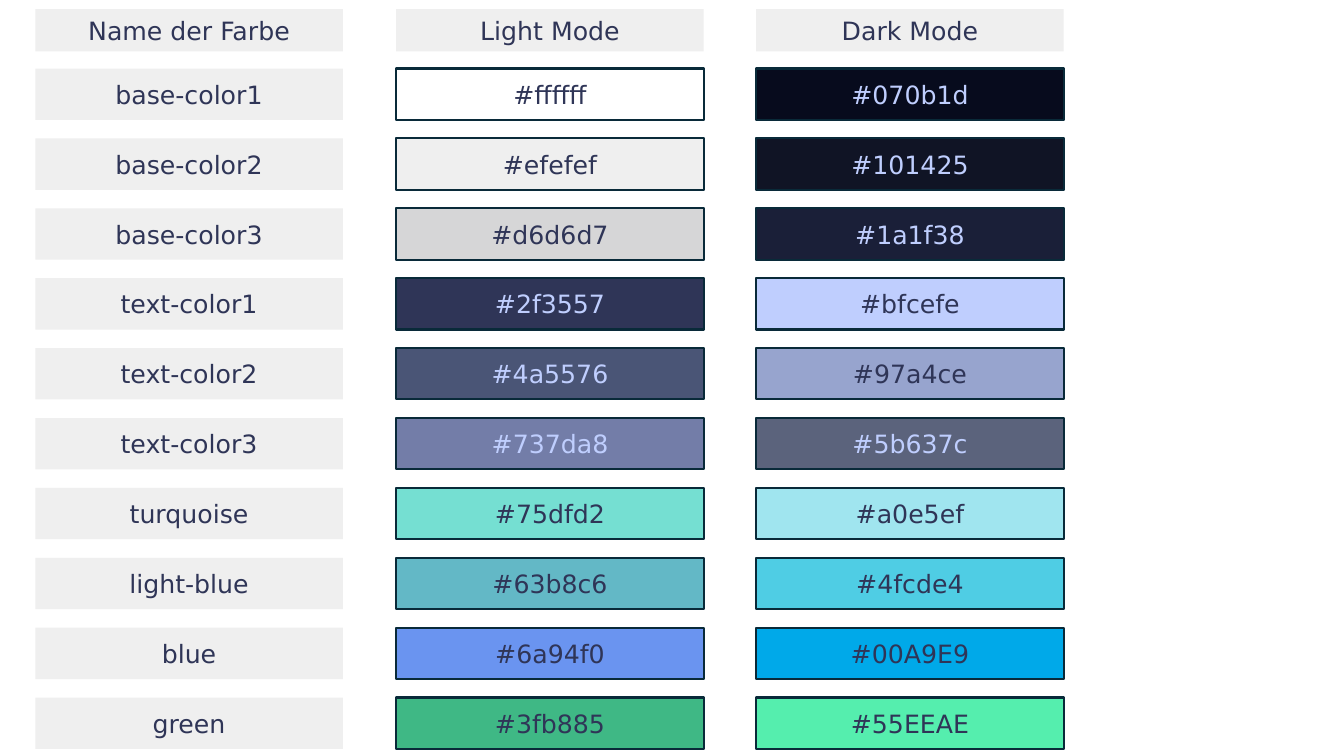
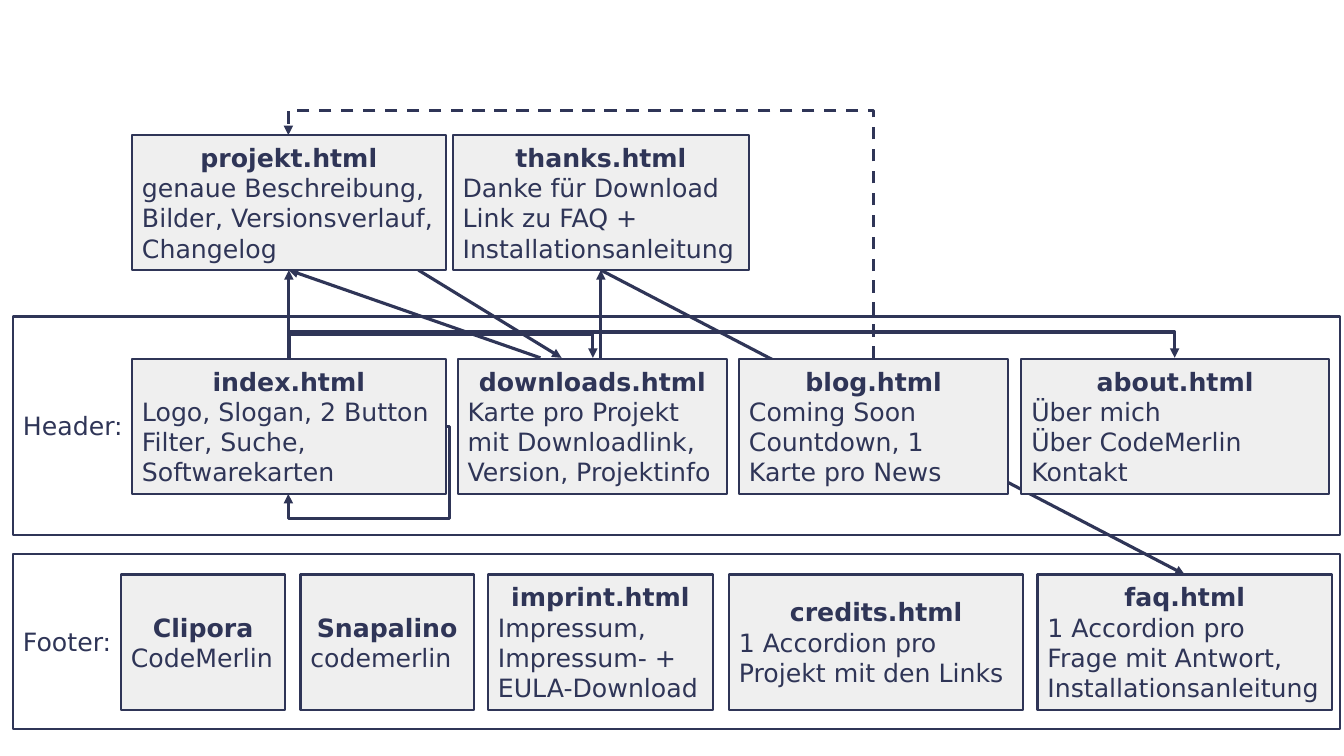
from lxml import etree
from pptx import Presentation
from pptx.dml.color import RGBColor
from pptx.enum import dml, shapes, text
from pptx.oxml.ns import qn
from pptx.util import Inches, Pt

FONT = "DejaVu Sans"
INK, PALE, GREY, EDGE = "2F3557", "BFCEFE", "EFEFEF", "092A39"


def paint(fill, color):
    """Fill with a hex colour, or with nothing for None."""
    if color is None:
        fill.background()
    else:
        fill.solid()
        fill.fore_color.rgb = RGBColor.from_string(color.lstrip("#").upper())


def box(s, at, lines, fill=GREY, line=INK, ink=INK, heading=False, centred=False):
    """Add a rectangle with one paragraph per line; a heading is bold and centred."""
    sp = s.shapes.add_shape(shapes.MSO_SHAPE.RECTANGLE, *map(Inches, at))
    sp.shadow.inherit = False
    paint(sp.fill, fill)
    paint(sp.line.fill, line)
    if line:
        sp.line.width = Pt(1.5)
    tf = sp.text_frame
    tf.word_wrap = True
    tf.vertical_anchor = text.MSO_ANCHOR.MIDDLE
    for i, words in enumerate(lines):
        p = tf.paragraphs[0] if i == 0 else tf.add_paragraph()
        p.text = words
        is_heading = heading and i == 0
        p.alignment = text.PP_ALIGN.CENTER if centred or is_heading else text.PP_ALIGN.LEFT
        for r in p.runs:
            for name, value in {"name": FONT, "size": Pt(18), "bold": is_heading}.items():
                setattr(r.font, name, value)
            paint(r.font.fill, ink)
    return sp


prs = Presentation()
prs.slide_width, prs.slide_height = Inches(13.33), Inches(7.5)
blank = prs.slide_layouts[6]

# Slide 1: colour palette
s = prs.slides.add_slide(blank)
columns = [0.35, 3.93, 7.5]
width = 3.05
for x, label in zip(columns, ["Name der Farbe", "Light Mode", "Dark Mode"]):
    box(s, (x, 0.09, width, 0.42), [label], line=None, centred=True)

palette = [
    ("base-color1", "#ffffff", "#070b1d"),
    ("base-color2", "#efefef", "#101425"),
    ("base-color3", "#d6d6d7", "#1a1f38"),
    ("text-color1", "#2f3557", "#bfcefe"),
    ("text-color2", "#4a5576", "#97a4ce"),
    ("text-color3", "#737da8", "#5b637c"),
    ("turquoise", "#75dfd2", "#a0e5ef"),
    ("light-blue", "#63b8c6", "#4fcde4"),
    ("blue", "#6a94f0", "#00A9E9"),
    ("green", "#3fb885", "#55EEAE"),
]
first, last = 0.68, 6.92
step = (last - first) / (len(palette) - 1)
for i, row in enumerate(palette):
    for x, label in zip(columns, row):
        at = (x, first + i * step, width, 0.51)
        if label.startswith("#"):
            # The green channel tells dark swatches from light ones
            ink = PALE if int(label[3:5], 16) < 128 else INK
            box(s, at, [label], label, EDGE, ink, centred=True)
        else:
            box(s, at, [label], line=None, centred=True)

# Slide 2: site map
s = prs.slides.add_slide(blank)
for y, height, label in [(5.5, 1.73, "Footer:"), (3.14, 2.17, "Header:")]:
    box(s, (0.13, y, 13.16, height), [label], fill=None)

rows = {
    1.34: [
        (1.31, 3.11, "projekt.html", "genaue Beschreibung, Bilder, Versionsverlauf, Changelog"),
        (4.49, 2.94, "thanks.html", "Danke für Download", "Link zu FAQ + Installationsanleitung"),
    ],
    3.56: [
        (1.31, 3.11, "index.html", "Logo, Slogan, 2 Button", "Filter, Suche, Softwarekarten"),
        (4.54, 2.67, "downloads.html", "Karte pro Projekt mit Downloadlink,",
         "Version, Projektinfo"),
        (7.33, 2.67, "blog.html", "Coming Soon Countdown, 1 Karte pro News"),
        (10.13, 3.05, "about.html", "Über mich", "Über CodeMerlin", "Kontakt"),
    ],
    5.7: [
        (1.2, 1.63, "Clipora", "CodeMerlin"),
        (2.98, 1.72, "Snapalino", "codemerlin"),
        (4.84, 2.23, "imprint.html", "Impressum, Impressum- + EULA-Download"),
        (7.23, 2.92, "credits.html", "1 Accordion pro\vProjekt mit den Links"),
        (10.29, 2.92, "faq.html", "1 Accordion pro\vFrage mit Antwort,", "Installationsanleitung"),
    ],
}
pages = {}
for y, row in rows.items():
    for x, w, *lines in row:
        pages[lines[0].removesuffix(".html")] = box(s, (x, y, w, 1.34), lines, heading=True)

# An end is a point, or a page with its side (0 top, 1 left, 2 bottom, 3 right).
# A bent link adds its frame, rotation, flips and bend positions.
TOP, BOTTOM, RIGHT = 0, 2, 3
links = [
    (("thanks", BOTTOM), ("faq", TOP), None),
    ((5.96, 3.55), ("thanks", BOTTOM), None),
    ((5.36, 3.55), ("projekt", BOTTOM), None),
    ((4.15, 2.68), (5.57, 3.55), None),
    (("index", TOP), ("projekt", BOTTOM), None),
    (("blog", TOP), ("projekt", TOP), ((4.65, -0.45, 2.22, 5.8), 270, "V", [1.11])),
    (("index", TOP), ("downloads", TOP), ((4.37, 2.05, 0.01, 3.01), 90, "HV", [25])),
    (("index", TOP), ("about", TOP), ((7.25, -0.84, 0.01, 8.79), 90, "HV", [27])),
    (("index", RIGHT), ("index", BOTTOM), ((2.86, 4.23, 1.55, 0.67), 0, "H", [-0.03, 1.37])),
]
for start, end, bend in links:
    kind = shapes.MSO_CONNECTOR.ELBOW if bend else shapes.MSO_CONNECTOR.STRAIGHT
    points = [(0, 0) if e[0] in pages else e for e in (start, end)]
    c = s.shapes.add_connector(kind, *(Inches(v) for point in points for v in point))
    for e, connect in [(start, c.begin_connect), (end, c.end_connect)]:
        if e[0] in pages:
            connect(pages[e[0]], e[1])
    paint(c.line.fill, INK)
    c.line.width = Pt(2.25)
    if start[0] == "blog":
        c.line.dash_style = dml.MSO_LINE.DASH

    props = c._element.spPr
    etree.SubElement(props.find(qn("a:ln")), qn("a:tailEnd"), type="triangle")
    etree.SubElement(props, qn("a:effectLst"))
    if bend:
        frame, angle, flips, bends = bend
        c.left, c.top, c.width, c.height = map(Inches, frame)
        xfrm = props.find(qn("a:xfrm"))
        xfrm.set("rot", str(angle * 60000))
        for axis in "HV":
            xfrm.set("flip" + axis, str(int(axis in flips)))
        geom = props.find(qn("a:prstGeom"))
        geom.set("prst", f"bentConnector{len(bends) + 2}")
        guides = geom.find(qn("a:avLst"))
        for i, value in enumerate(bends, 1):
            etree.SubElement(guides, qn("a:gd"), name=f"adj{i}",
                             fmla=f"val {round(value * 100000)}")
    # Links run behind the boxes
    s.shapes._spTree.insert(2, c._element)

prs.save("out.pptx")
